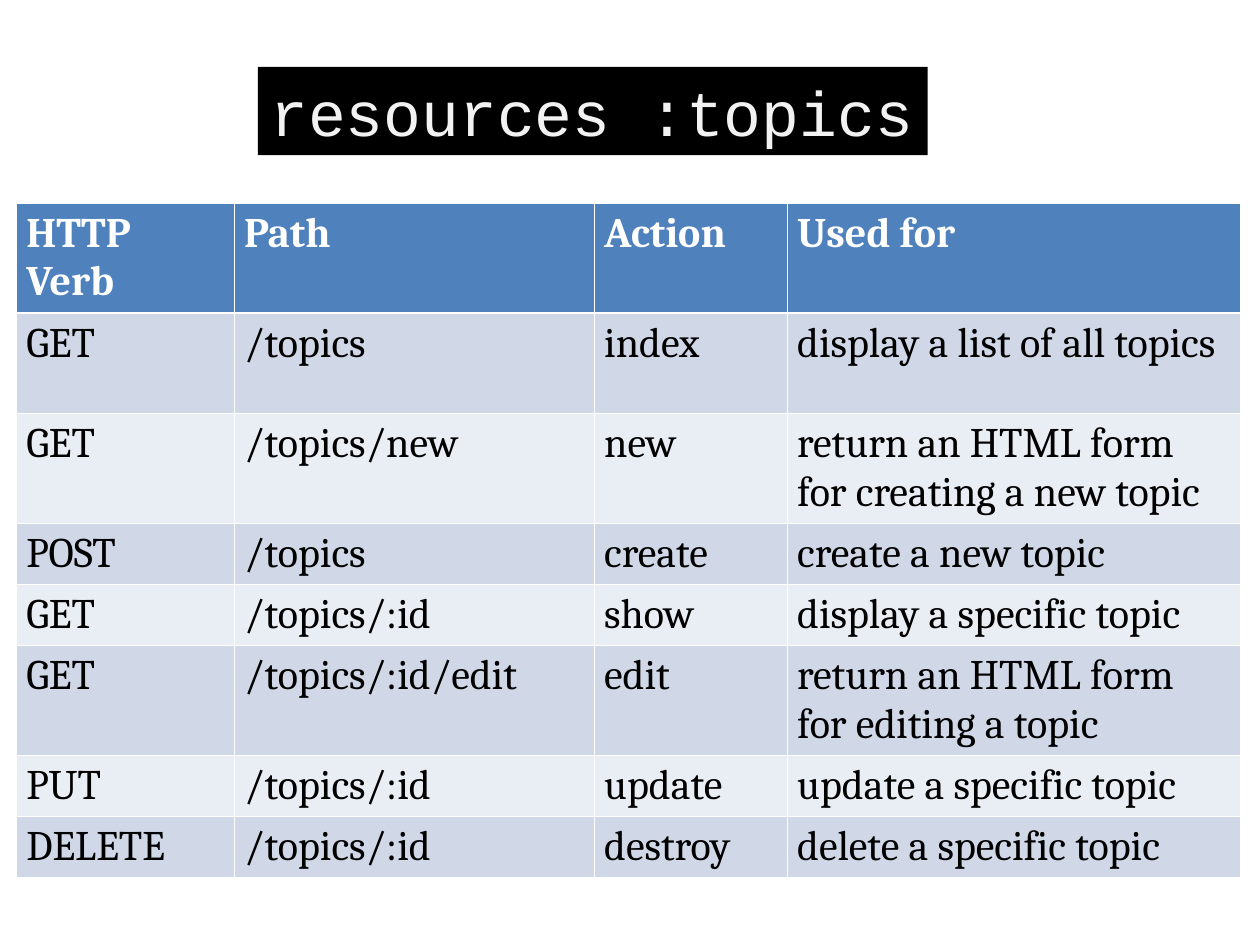
import pptx
import pptx.util
import pptx.dml.color
import pptx.enum.shapes
import pptx.enum.text
import pptx.oxml
import pptx.oxml.ns

Cm = pptx.util.Cm
Pt = pptx.util.Pt
RGB = pptx.dml.color.RGBColor

WHITE = RGB(0xFF, 0xFF, 0xFF)
BLACK = RGB(0x00, 0x00, 0x00)
PALE = RGB(0xF2, 0xF2, 0xF2)
BLUE = RGB(0x4F, 0x81, 0xBD)
BANDS = (RGB(0xE9, 0xED, 0xF4), RGB(0xD0, 0xD8, 0xE8))

THIN, THICK = 0.45, 1.47
WIDTHS = (4.39, 7.26, 3.89, 9.14)
TALL, SHORT = 2.03, 1.04
HEIGHTS = (TALL, TALL, TALL, SHORT, SHORT, TALL, SHORT, SHORT)
ROUTES = (
    ("HTTP Verb", "Path", "Action", "Used for"),
    ("GET", "/topics", "index", "display a list of all topics"),
    ("GET", "/topics/new", "new",
     "return an HTML form for creating a new topic"),
    ("POST", "/topics", "create", "create a new topic"),
    ("GET", "/topics/:id", "show", "display a specific topic"),
    ("GET", "/topics/:id/edit", "edit",
     "return an HTML form for editing a topic"),
    ("PUT", "/topics/:id", "update", "update a specific topic"),
    ("DELETE", "/topics/:id", "destroy", "delete a specific topic"),
)


def style(frame, face, size, color, bold=False):
    for run in frame.paragraphs[0].runs:
        run.font.name = face
        run.font.size = Pt(size)
        run.font.color.rgb = color
        run.font.bold = bold


def add_edge(cell, side, width):
    edge = pptx.oxml.parse_xml(
        f'<a:ln{side} {pptx.oxml.ns.nsdecls("a")} w="{Pt(width)}">'
        f'<a:solidFill><a:srgbClr val="{WHITE}"/></a:solidFill>'
        f'</a:ln{side}>')
    cell._tc.get_or_add_tcPr().append(edge)


def fill_cell(cell, text, row):
    head = row == 0
    cell.text_frame.text = text
    style(cell.text_frame, "Cambria", 24, WHITE if head else BLACK, head)
    cell.margin_left = cell.margin_right = Cm(0.2)
    cell.margin_top = cell.margin_bottom = Cm(0.13)
    # The rule below the header is thicker than the rest
    add_edge(cell, "L", THIN)
    add_edge(cell, "R", THIN)
    add_edge(cell, "T", THICK if row == 1 else THIN)
    add_edge(cell, "B", THICK if head else THIN)
    cell.fill.solid()
    cell.fill.fore_color.rgb = BLUE if head else BANDS[row % 2]


def add_routes(slide):
    table = slide.shapes.add_table(
        len(HEIGHTS), len(WIDTHS), Cm(0.33), Cm(4.1),
        Cm(sum(WIDTHS)), Cm(sum(HEIGHTS))).table
    table.horz_banding = False
    for col, width in zip(table.columns, WIDTHS):
        col.width = Cm(width)
    for i, (row, height) in enumerate(zip(table.rows, HEIGHTS)):
        row.height = Cm(height)
        for cell, text in zip(row.cells, ROUTES[i]):
            fill_cell(cell, text, i)


def add_title(slide):
    box = slide.shapes.add_shape(
        pptx.enum.shapes.MSO_SHAPE.RECTANGLE,
        Cm(5.2), Cm(1.35), Cm(13.5), Cm(1.78))
    box.shadow.inherit = False
    box.fill.solid()
    box.fill.fore_color.rgb = BLACK
    box.line.fill.background()
    frame = box.text_frame
    frame.text = "resources :topics"
    frame.word_wrap = False
    frame.auto_size = pptx.enum.text.MSO_AUTO_SIZE.SHAPE_TO_FIT_TEXT
    frame.vertical_anchor = pptx.enum.text.MSO_ANCHOR.TOP
    frame.paragraphs[0].alignment = pptx.enum.text.PP_ALIGN.LEFT
    style(frame, "Courier New", 36, PALE)


def main():
    deck = pptx.Presentation()
    deck.slide_width, deck.slide_height = Cm(25.4), Cm(19.05)
    slide = deck.slides.add_slide(deck.slide_layouts[6])
    # Table of routes
    add_routes(slide)
    # Code title
    add_title(slide)
    deck.save("out.pptx")


if __name__ == "__main__":
    main()
